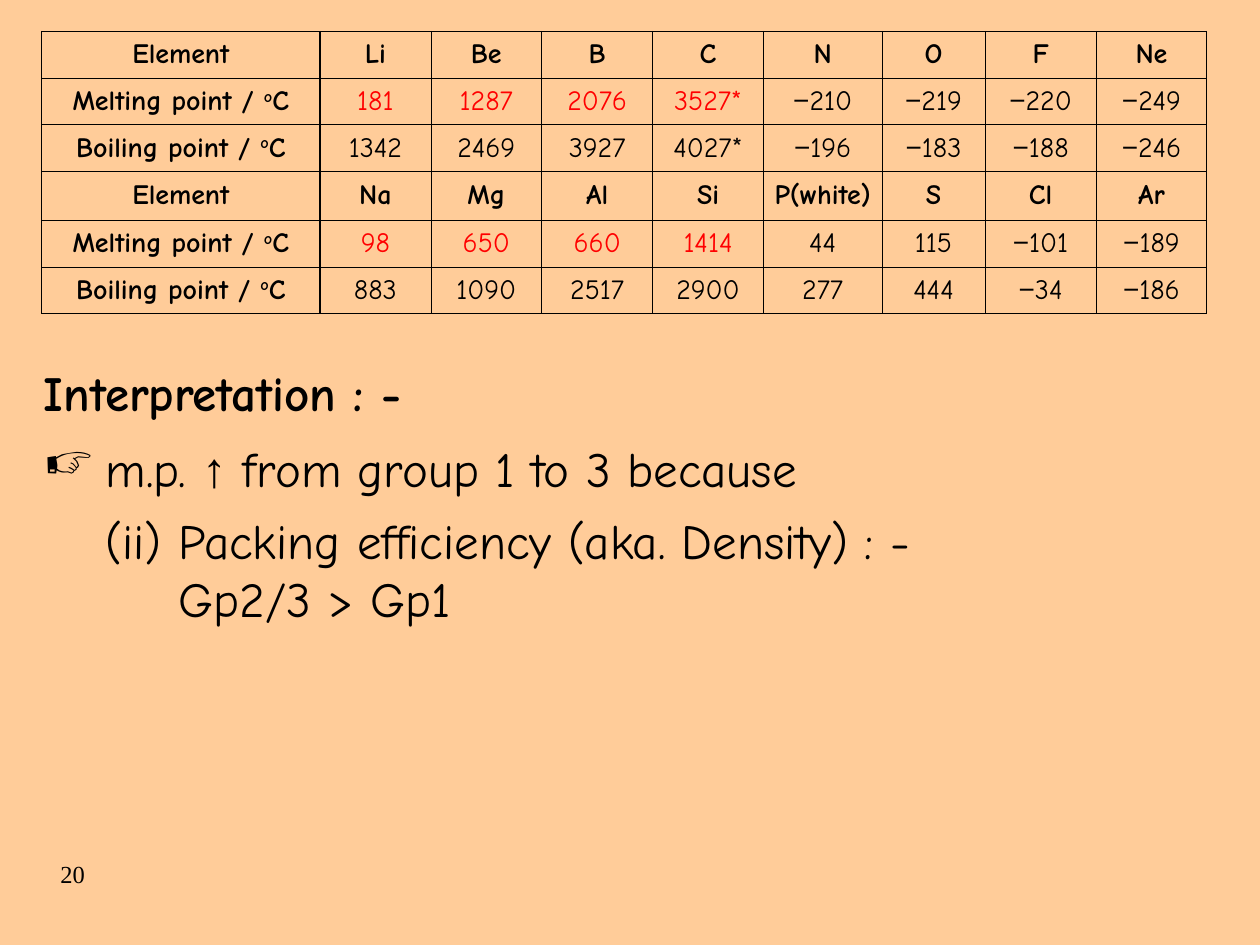
from lxml.etree import SubElement
from pptx import Presentation
from pptx.dml.color import RGBColor
from pptx.enum.text import MSO_ANCHOR, PP_ALIGN
from pptx.oxml.ns import qn
from pptx.util import Inches, Pt

INK, RED, PEACH = "000000", "FF0000", "FFCC99"
THICK, THIN = 0.75, 0.45

WIDTHS = [2.21, 0.88, 0.88, 0.88, 0.88, 0.94, 0.82, 0.88, 0.88]
HEIGHTS = [0.37, 0.37, 0.37, 0.39, 0.37, 0.37]
ROWS = [
    ["Element", "Li", "Be", "B", "C", "N", "O", "F", "Ne"],
    ["Melting point / °C", "181", "1287", "2076", "3527*",
     "−210", "−219", "−220", "−249"],
    ["Boiling point / °C", "1342", "2469", "3927", "4027*",
     "−196", "−183", "−188", "−246"],
    ["Element", "Na", "Mg", "Al", "Si", "P(white)", "S", "Cl", "Ar"],
    ["Melting point / °C", "98", "650", "660", "1414",
     "44", "115", "−101", "−189"],
    ["Boiling point / °C", "883", "1090", "2517", "2900",
     "277", "444", "−34", "−186"],
]


def color(code):
    return RGBColor.from_string(code)


class Deck:
    """Holds the style and the current slide."""

    font = "Comic Neue"
    sign = "Arial"  # face for minus signs and arrows

    def __init__(self):
        self.prs = Presentation()
        self.prs.slide_width, self.prs.slide_height = Inches(10), Inches(7.5)
        self.slide = self.prs.slides.add_slide(self.prs.slide_layouts[6])
        fill = self.slide.background.fill
        fill.solid()
        fill.fore_color.rgb = color(PEACH)

    def style(self, par, size, bold=False, tint=INK, face=None):
        font = par.font
        font.name, font.size, font.bold = face or self.font, Pt(size), bold
        font.color.rgb = color(tint)

    def runs(self, par, text):
        """Add text; signs get their own face, the degree a raised o."""
        part = ""
        for char in text:
            if char not in "−↑°":
                part += char
                continue
            if part:
                par.add_run().text = part
            part = ""
            run = par.add_run()
            if char == "°":
                run.text = "o"
                run._r.get_or_add_rPr().set("baseline", "30000")
            else:
                run.text = char
                run.font.name = self.sign
        if part:
            par.add_run().text = part

    def text(self, box, lines, size=28, bold=False, face=None):
        """Each line is (text, margin, first-line indent, bullet)."""
        frame = self.slide.shapes.add_textbox(*map(Inches, box)).text_frame
        frame.word_wrap = True
        for i, (words, margin, indent, mark) in enumerate(lines):
            par = frame.add_paragraph() if i else frame.paragraphs[0]
            self.style(par, size, bold, face=face)
            self.runs(par, words)
            props = par._p.get_or_add_pPr()
            props.set("marL", str(Inches(margin)))
            props.set("indent", str(Inches(indent)))
            if mark:
                bullet = props.makeelement(qn("a:buChar"), {"char": mark})
                props.insert_element_before(
                    bullet, "a:tabLst", "a:defRPr", "a:extLst")

    def border(self, cell, sides):
        props = cell._tc.get_or_add_tcPr()
        for i, (side, width) in enumerate(sides):
            line = props.makeelement(qn("a:ln" + side), {"w": str(Pt(width))})
            fill = SubElement(line, qn("a:solidFill"))
            SubElement(fill, qn("a:srgbClr")).set("val", INK)
            props.insert(i, line)

    def table(self, left, top, rows, widths, heights):
        table = self.slide.shapes.add_table(
            len(rows), len(widths), Inches(left), Inches(top),
            Inches(sum(widths)), Inches(sum(heights))).table
        table.first_row = table.horz_banding = False
        for col, width in zip(table.columns, widths):
            col.width = Inches(width)
        for row, height in zip(table.rows, heights):
            row.height = Inches(height)
        # Thick rules frame each period and the label column
        across = {0, 3, len(rows)}
        down = {0, 1, len(widths)}
        for r, row in enumerate(rows):
            for c, words in enumerate(row):
                cell = table.cell(r, c)
                cell.fill.background()
                cell.vertical_anchor = MSO_ANCHOR.MIDDLE
                cell.margin_left = cell.margin_right = Inches(0.02)
                par = cell.text_frame.paragraphs[0]
                par.alignment = PP_ALIGN.CENTER
                hot = r % 3 == 1 and 1 <= c <= 4
                self.style(par, 16, r % 3 == 0 or c == 0,
                           RED if hot else INK)
                self.runs(par, words)
                edges = [("L", c in down), ("R", c + 1 in down),
                         ("T", r in across), ("B", r + 1 in across)]
                self.border(cell, [(side, THICK if bold else THIN)
                                   for side, bold in edges])

    def save(self):
        self.prs.save("out.pptx")


def main():
    deck = Deck()
    # Page number
    deck.text((0.38, 6.77, 1.42, 0.5), [("20", 0, 0, None)],
              size=14, face="Times New Roman")
    # Melting and boiling points of periods 2 and 3
    deck.table(0.33, 0.25, ROWS, WIDTHS, HEIGHTS)
    # Interpretation
    deck.text((0.25, 2.83, 4.58, 0.57),
              [("Interpretation : -", 0, 0, None)], bold=True)
    deck.text((0.25, 3.43, 9.75, 0.57),
              [("m.p. ↑ from group 1 to 3 because", 0.49, -0.49, "☞")])
    deck.text((0.25, 4, 9.75, 1.5), [
        ("(ii)\tPacking efficiency (aka. Density) : -", 1.07, -0.58, None),
        ("Gp2/3 > Gp1", 1.07, 0, None)])
    deck.save()


if __name__ == "__main__":
    main()
